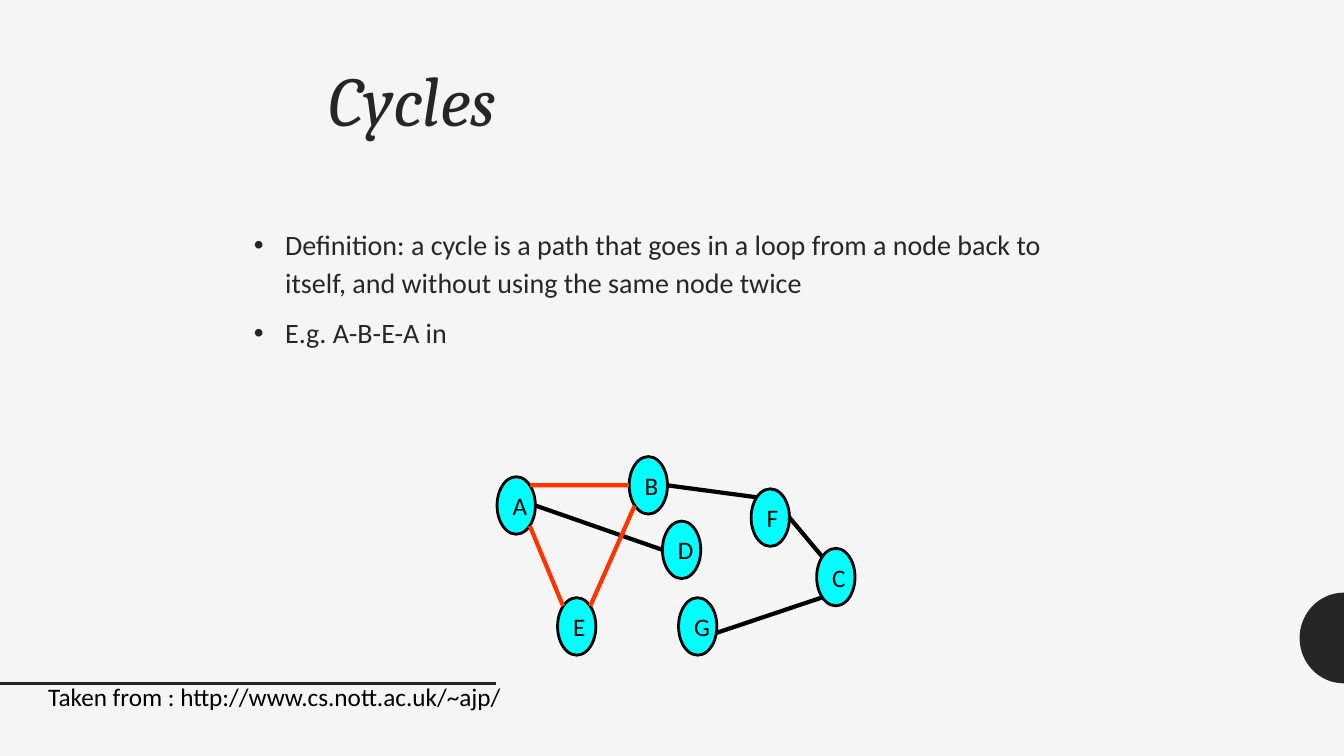
from dataclasses import dataclass
from math import cos, radians, sin

from lxml.etree import SubElement
from pptx import Presentation
from pptx.dml.color import RGBColor
from pptx.enum.shapes import MSO_CONNECTOR, MSO_SHAPE
from pptx.enum.text import MSO_ANCHOR, MSO_AUTO_SIZE, PP_ALIGN
from pptx.oxml.ns import qn
from pptx.util import Inches, Pt


@dataclass(frozen=True)
class Theme:
    background: str = "F5F5F5"
    ink: str = "262626"
    black: str = "000000"
    node: str = "00FFFF"
    cycle: str = "FF3300"
    heading_font: str = "Cambria"
    body_font: str = "Calibri"
    title_size: int = 50
    body_size: int = 20
    label_size: int = 18
    line_width: int = 2
    edge_width: int = 3


THEME = Theme()
SLIDE_W, SLIDE_H = 13.33, 7.5
NODE_W, NODE_H = 0.38, 0.57

# Top left corner of each graph node
NODES = {
    "A": (4.93, 4.73), "B": (6.24, 4.53), "C": (8.1, 5.44), "D": (6.57, 5.17),
    "E": (5.53, 5.93), "F": (7.45, 4.85), "G": (6.73, 5.93),
}
# Start node and angle, end node and angle (degrees clockwise from the right), colour
EDGES = [
    ("A", 0, "D", 180, THEME.black),
    ("B", 135, "E", 315, THEME.cycle),
    ("B", 0, "F", 225, THEME.black),
    ("F", 0, "C", 225, THEME.black),
    ("A", 45, "E", 225, THEME.cycle),
    ("A", 315, "B", 180, THEME.cycle),
    ("C", 135, "G", 13, THEME.black),
]
BULLETS = [
    "Definition: a cycle is a path that goes in a loop from a node back to "
    "itself, and without using the same node twice",
    "E.g. A-B-E-A in",
]


def set_format(target, values):
    for name, value in values.items():
        setattr(target, name, value)


def set_hanging(p, indent, bullet=None):
    pPr = p._p.get_or_add_pPr()
    pPr.set("marL", str(Inches(indent)))
    pPr.set("indent", str(-Inches(indent)))
    if bullet:
        SubElement(pPr, qn("a:buFont")).set("typeface", "Arial")
        SubElement(pPr, qn("a:buChar")).set("char", bullet)


def write(p, text, size, color, font=THEME.body_font, italic=False):
    r = p.add_run()
    r.text = text
    set_format(r.font, {"size": Pt(size), "name": font, "italic": italic})
    r.font.color.rgb = RGBColor.from_string(color)


def add_text_frame(s, left, top, width, height, wrap=True):
    tf = s.shapes.add_textbox(*map(Inches, (left, top, width, height))).text_frame
    set_format(tf, {"word_wrap": wrap, "vertical_anchor": MSO_ANCHOR.TOP})
    return tf


def add_line(s, start, end, color, width):
    points = map(Inches, (*start, *end))
    line = s.shapes.add_connector(MSO_CONNECTOR.STRAIGHT, *points)
    line.line.color.rgb = RGBColor.from_string(color)
    line.line.width = Pt(width)
    SubElement(line._element.spPr, qn("a:effectLst"))


def add_node(s, label, left, top):
    box = map(Inches, (left, top, NODE_W, NODE_H))
    sp = s.shapes.add_shape(MSO_SHAPE.OVAL, *box)
    sp.shadow.inherit = False
    sp.fill.solid()
    sp.fill.fore_color.rgb = RGBColor.from_string(THEME.node)
    sp.line.color.rgb = RGBColor.from_string(THEME.black)
    sp.line.width = Pt(THEME.line_width)
    tf = sp.text_frame
    set_format(tf, {"word_wrap": True, "vertical_anchor": MSO_ANCHOR.MIDDLE,
                    "auto_size": MSO_AUTO_SIZE.SHAPE_TO_FIT_TEXT})
    p = tf.paragraphs[0]
    p.alignment = PP_ALIGN.CENTER
    set_hanging(p, 0.25)
    write(p, label, THEME.label_size, THEME.black)


def ellipse_point(center, radii, angle):
    a = radians(angle)
    return center[0] + radii[0] * cos(a), center[1] + radii[1] * sin(a)


def node_point(label, angle):
    left, top = NODES[label]
    center = left + NODE_W / 2, top + NODE_H / 2
    return ellipse_point(center, (NODE_W / 2, NODE_H / 2), angle)


def add_half_disc(s):
    rim = [ellipse_point((SLIDE_W, 6.33), (0.44, 0.45), angle)
           for angle in range(90, 271, 5)]
    points = [(Inches(x), Inches(y)) for x, y in rim]
    builder = s.shapes.build_freeform(*points[0], scale=1.0)
    builder.add_line_segments(points[1:], close=True)
    sp = builder.convert_to_shape()
    sp.shadow.inherit = False
    sp.fill.solid()
    sp.fill.fore_color.rgb = RGBColor.from_string(THEME.ink)
    sp.line.fill.background()


def add_title(s, text):
    p = add_text_frame(s, 0.83, 0.61, 4.19, 5.42).paragraphs[0]
    set_format(p, {"alignment": PP_ALIGN.RIGHT, "line_spacing": 0.9})
    write(p, text, THEME.title_size, THEME.ink, THEME.heading_font, italic=True)


def add_bullets(s, items):
    tf = add_text_frame(s, 2.42, 2.17, 8.5, 2.21)
    for i, item in enumerate(items):
        p = tf.add_paragraph() if i else tf.paragraphs[0]
        set_hanging(p, 0.31, "•")
        set_format(p, {"line_spacing": 1.12, "space_before": Pt(9 if i else 0)})
        write(p, item, THEME.body_size, THEME.ink)


def add_credit(s, text):
    tf = add_text_frame(s, 0.38, 6.71, 4.75, 0.4, wrap=False)
    tf.auto_size = MSO_AUTO_SIZE.SHAPE_TO_FIT_TEXT
    p = tf.paragraphs[0]
    set_hanging(p, 0.25)
    write(p, text, THEME.label_size, THEME.black)


def main():
    prs = Presentation()
    set_format(prs, {"slide_width": Inches(SLIDE_W), "slide_height": Inches(SLIDE_H)})
    s = prs.slides.add_slide(prs.slide_layouts[6])
    s.background.fill.solid()
    s.background.fill.fore_color.rgb = RGBColor.from_string(THEME.background)

    # Decoration
    add_half_disc(s)
    add_line(s, (0, 6.78), (4.92, 6.78), THEME.ink, THEME.line_width)

    # Text
    add_title(s, "Cycles")
    add_bullets(s, BULLETS)

    # Graph
    for label, corner in NODES.items():
        add_node(s, label, *corner)
    for start, start_angle, end, end_angle, color in EDGES:
        add_line(s, node_point(start, start_angle), node_point(end, end_angle),
                 color, THEME.edge_width)

    # Credit
    add_credit(s, "Taken from : http://www.cs.nott.ac.uk/~ajp/")
    prs.save("out.pptx")


if __name__ == "__main__":
    main()
